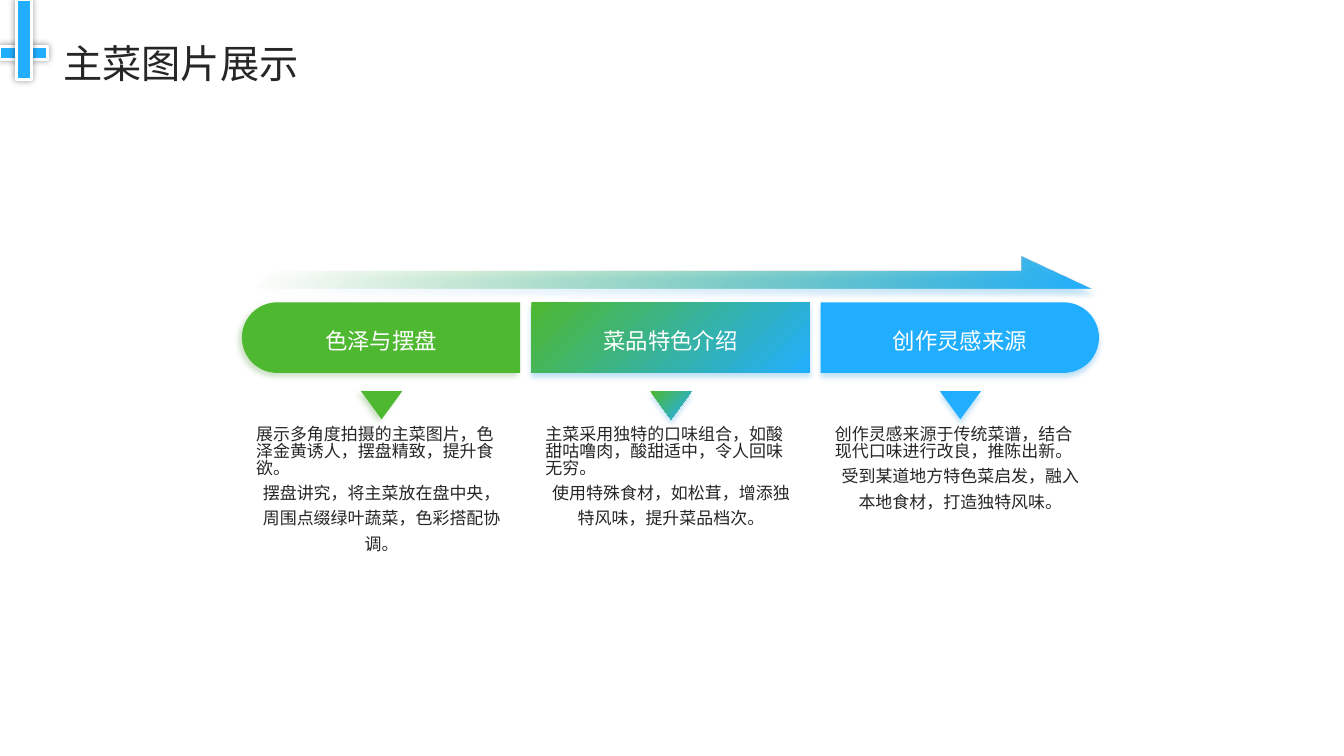
import math
import pptx
import pptx.util
import pptx.dml.color
import pptx.enum.shapes
import pptx.enum.text
import pptx.oxml.ns
from lxml import etree

Inches = pptx.util.Inches
RGB = pptx.dml.color.RGBColor
Kind = pptx.enum.shapes.MSO_SHAPE
Align = pptx.enum.text.PP_ALIGN
Anchor = pptx.enum.text.MSO_ANCHOR
qn = pptx.oxml.ns.qn

GREEN = RGB(0x4E, 0xB8, 0x30)
BLUE = RGB(0x22, 0xAE, 0xFF)
MOSS = RGB(0x3A, 0x8A, 0x24)
NAVY = RGB(0x00, 0x89, 0xD9)
INK = RGB(0x26, 0x26, 0x26)
WHITE = RGB(0xFF, 0xFF, 0xFF)
BLACK = RGB(0x00, 0x00, 0x00)
FONT = "Noto Sans CJK SC"

TITLE = "主菜图片展示"
STEPS = [
    ("色泽与摆盘",
     "展示多角度拍摄的主菜图片，色泽金黄诱人，摆盘精致，提升食欲。",
     "摆盘讲究，将主菜放在盘中央，周围点缀绿叶蔬菜，色彩搭配协调。"),
    ("菜品特色介绍",
     "主菜采用独特的口味组合，如酸甜咕噜肉，酸甜适中，令人回味无穷。",
     "使用特殊食材，如松茸，增添独特风味，提升菜品档次。"),
    ("创作灵感来源",
     "创作灵感来源于传统菜谱，结合现代口味进行改良，推陈出新。",
     "受到某道地方特色菜启发，融入本地食材，打造独特风味。"),
]
GREEN_GLOW = (MOSS, 25, 4, 3, 135)
BLUE_GLOW = (NAVY, 25, 4, 3, 90)
CROSS_GLOW = (BLACK, 40, 5, 0, 0)
LOOKS = [(GREEN, GREEN_GLOW), (None, BLUE_GLOW), (BLUE, BLUE_GLOW)]

LEFT, PITCH, WIDE = 2.4, 2.87, 2.76
TOP, TALL = 3, 0.7
ARROW = [(2.52, 2.86), (10.83, 2.86), (10.13, 2.55), (10.13, 2.69), (2.52, 2.69)]
CROSS = [(0, 0.46, 0.47, 0.13), (0.16, 0, 0.15, 0.79)]

deck = pptx.Presentation()
deck.slide_width, deck.slide_height = Inches(13.33), Inches(7.5)
slide = deck.slides.add_slide(deck.slide_layouts[5])
shapes = slide.shapes


def box(left, top, wide, tall):
    return [Inches(v) for v in (left, top, wide, tall)]


def glow(shape, color, alpha, blur, dist, angle):
    shape.shadow.inherit = False
    effects = shape._element.spPr.find(qn("a:effectLst"))
    outer = etree.SubElement(effects, qn("a:outerShdw"), blurRad=str(blur * 12700),
                             dist=str(dist * 12700), dir=str(angle * 60000),
                             algn="ctr", rotWithShape="0")
    tint = etree.SubElement(outer, qn("a:srgbClr"), val=str(color))
    etree.SubElement(tint, qn("a:alpha"), val=str(alpha * 1000))


def paint(shape, color, shade):
    fill = shape.fill
    if color is None:
        fill.gradient()
        fill.gradient_angle = 315
        for stop, tone, place in zip(fill.gradient_stops, (GREEN, BLUE), (0, 1)):
            stop.color.rgb = tone
            stop.position = place
    else:
        fill.solid()
        fill.fore_color.rgb = color
    shape.line.fill.background()
    glow(shape, *shade)


def outline(points):
    spots = [(Inches(x), Inches(y)) for x, y in points]
    form = shapes.build_freeform(*spots[0], scale=1.0)
    form.add_line_segments(spots[1:], close=True)
    return form.convert_to_shape()


def capsule(left, side):
    half = TALL / 2
    mid = left + WIDE / 2
    arc = [math.radians(90 - 180 * n / 36) for n in range(37)]
    ends = [(-WIDE / 2, -half), (-WIDE / 2, half)]
    curve = [(WIDE / 2 - half + half * math.cos(a), half * math.sin(a)) for a in arc]
    return outline([(mid + side * x, TOP + half + y) for x, y in ends + curve])


def frame(shape, anchor):
    text = shape.text_frame
    text.word_wrap = True
    text.auto_size = pptx.enum.text.MSO_AUTO_SIZE.NONE
    text.vertical_anchor = anchor
    text.margin_left = text.margin_right = text.margin_top = text.margin_bottom = 0
    return text


def write(para, words, size, color, align, space):
    para.alignment = align
    para.line_spacing = space
    para.space_before = para.space_after = pptx.util.Pt(0)
    run = para.add_run()
    run.text = words
    run.font.size = pptx.util.Pt(size)
    run.font.name = FONT
    run.font.color.rgb = color
    etree.SubElement(run._r.get_or_add_rPr(), qn("a:ea"), typeface=FONT)


title = shapes.title
title.left, title.top, title.width, title.height = box(0.63, 0.26, 11.35, 0.59)
write(frame(title, Anchor.MIDDLE).paragraphs[0], TITLE, 28, INK, Align.LEFT, 1.3)

arrow = outline(ARROW)
paint(arrow, None, BLUE_GLOW)
first = arrow.fill.gradient_stops[0]
first.position = 0.03
tint = arrow._element.spPr.find(".//" + qn("a:gs")).find(qn("a:srgbClr"))
etree.SubElement(tint, qn("a:alpha"), val="0")

for i, ((head, lead, rest), (color, shade)) in enumerate(zip(STEPS, LOOKS)):
    left = LEFT + PITCH * i
    if i == 1:
        bar = shapes.add_shape(Kind.RECTANGLE, *box(left, TOP, WIDE, TALL))
    else:
        bar = capsule(left, i - 1)
    paint(bar, color, shade)

    label = shapes.add_textbox(*box(left + 0.24, 3.12, 2.28, 0.49))
    write(frame(label, Anchor.MIDDLE).paragraphs[0], head, 16, WHITE, Align.CENTER, 1.1)

    mark = shapes.add_shape(Kind.FLOWCHART_MERGE, *box(left + 1.18, 3.88, 0.41, 0.28))
    paint(mark, color, shade)

    body = frame(shapes.add_textbox(*box(left + 0.14, 4.24, 2.49, 1.51)), Anchor.TOP)
    write(body.paragraphs[0], lead, 12.1, INK, Align.LEFT, 0.83)
    write(body.add_paragraph(), rest, 12.1, INK, Align.CENTER, 1.24)

for place in CROSS:
    beam = shapes.add_shape(Kind.RECTANGLE, *box(*place))
    paint(beam, BLUE, CROSS_GLOW)
    beam.line.color.rgb = WHITE
    beam.line.width = pptx.util.Pt(2)

deck.save("out.pptx")
